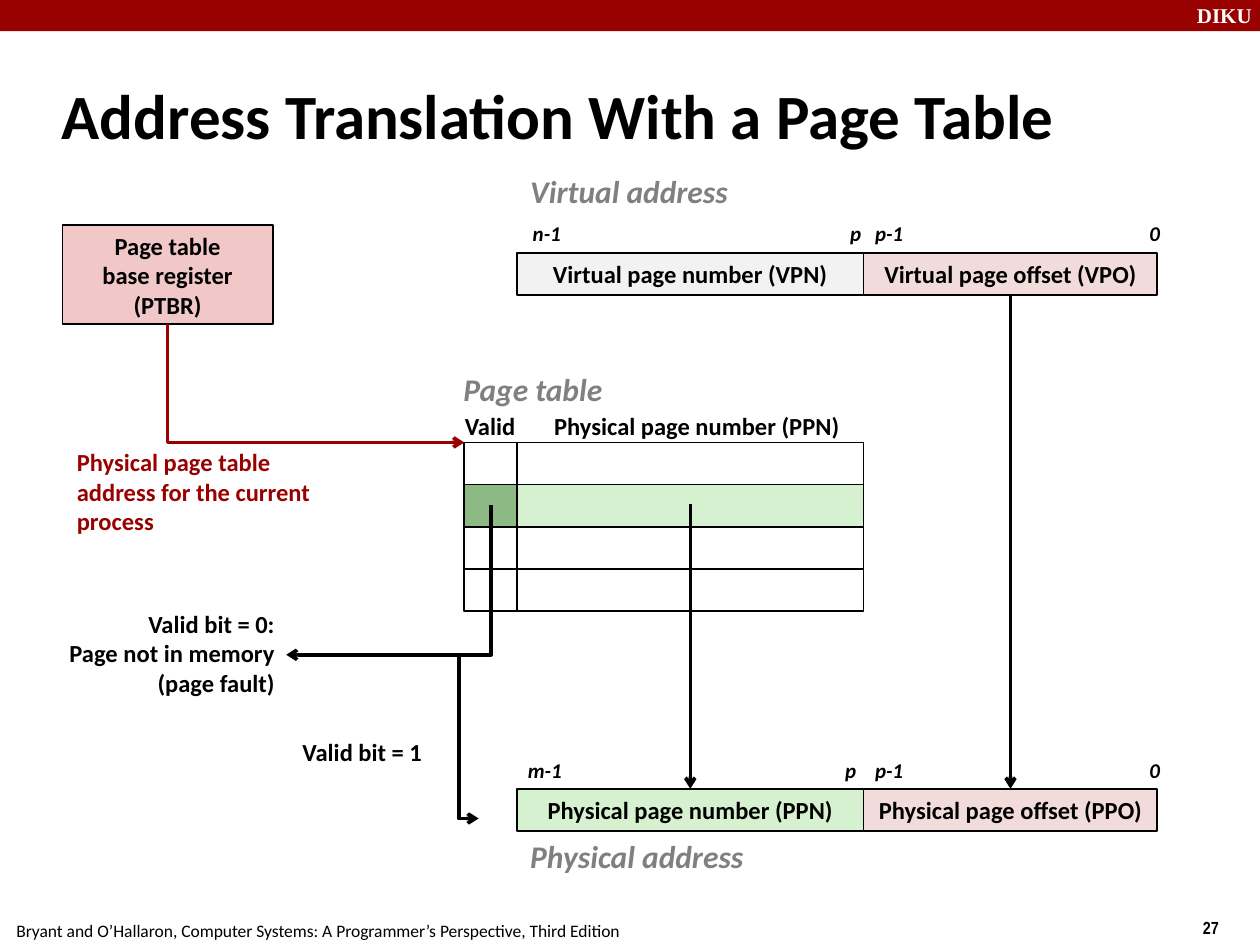
from dataclasses import dataclass
from pptx import Presentation
from pptx import util as u
from pptx.dml.color import RGBColor
from pptx.enum import shapes, text
from pptx.oxml.ns import qn
from lxml import etree

BLACK = RGBColor(0, 0, 0)
WHITE = RGBColor(0xFF, 0xFF, 0xFF)
RED = RGBColor(0x99, 0, 0)
GRAY = RGBColor(0x80, 0x80, 0x80)
PALE = RGBColor(0xF2, 0xF2, 0xF2)
ROSE = RGBColor(0xF2, 0xDC, 0xDB)
PINK = RGBColor(0xF1, 0xC7, 0xC7)
MINT = RGBColor(0xD5, 0xF1, 0xCF)
GREEN = RGBColor(0x8D, 0xBA, 0x84)

LEFT, RIGHT = text.PP_ALIGN.LEFT, text.PP_ALIGN.RIGHT
CENTER = text.PP_ALIGN.CENTER

# Grid in centimetres: valid bit, page number and offset columns
VALID_X, PAGE_X, OFF_X = 9.36, 10.42, 17.41
VALID_W, PAGE_W, OFF_W = 1.06, 6.99, 5.92
ROW = 0.85
VIRT_Y, TABLE_Y, PHYS_Y = 5.1, 8.92, 15.9


@dataclass
class Box:
    x: float
    y: float
    w: float
    h: float = ROW
    fill: RGBColor | None = None
    words: str = ""
    edge: bool = True


@dataclass
class Label:
    words: str
    x: float
    y: float
    w: float
    h: float = 0.84
    size: int = 14
    color: RGBColor = BLACK
    bold: bool = True
    slant: bool = False
    align: int = LEFT
    font: str = "Calibri"
    wrap: bool = False


def style(frame, size: int, color: RGBColor = BLACK, bold: bool = True,
          slant: bool = False, align: int = LEFT, font: str = "Calibri") -> None:
    for para in frame.paragraphs:
        para.alignment = align
        for run in para.runs:
            f = run.font
            f.name, f.size, f.bold, f.italic = font, u.Pt(size), bold, slant
            f.color.rgb = color


def add_box(slide, box: Box):
    shape = slide.shapes.add_shape(
        shapes.MSO_SHAPE.RECTANGLE, *map(u.Cm, (box.x, box.y, box.w, box.h)))
    shape.shadow.inherit = False
    if box.fill is None:
        shape.fill.background()
    else:
        shape.fill.solid()
        shape.fill.fore_color.rgb = box.fill
    if box.edge:
        shape.line.color.rgb = BLACK
        shape.line.width = u.Pt(1)
    else:
        shape.line.fill.background()
    if box.words:
        frame = shape.text_frame
        frame.text = box.words
        frame.vertical_anchor = text.MSO_ANCHOR.MIDDLE
        style(frame, 14, align=CENTER)
    return shape


def add_label(slide, lab: Label) -> None:
    frame = slide.shapes.add_textbox(
        *map(u.Cm, (lab.x, lab.y, lab.w, lab.h))).text_frame
    frame.word_wrap = lab.wrap
    frame.text = lab.words
    style(frame, lab.size, lab.color, lab.bold, lab.slant, lab.align, lab.font)


def add_arrow(slide, x1: float, y1: float, x2: float, y2: float,
              color: RGBColor = BLACK, kind=shapes.MSO_CONNECTOR.STRAIGHT):
    line = slide.shapes.add_connector(kind, *map(u.Cm, (x1, y1, x2, y2)))
    line.line.color.rgb = color
    line.line.width = u.Pt(2)
    props = line._element.spPr
    etree.SubElement(props.find(qn("a:ln")), qn("a:tailEnd"), type="arrow")
    etree.SubElement(props, qn("a:effectLst"))
    return line


def add_corner(slide, x1: float, y1: float, x2: float, y2: float,
               color: RGBColor = BLACK) -> None:
    """Draw an arrow that runs down first and then sideways."""
    mid_x, mid_y = (x1 + x2) / 2, (y1 + y2) / 2
    half_w, half_h = (y2 - y1) / 2, abs(x2 - x1) / 2
    right = x2 > x1
    if right:
        half_w = -half_w  # a negative width flips the line
    line = add_arrow(slide, mid_x - half_w, mid_y - half_h, mid_x + half_w,
                     mid_y + half_h, color, shapes.MSO_CONNECTOR.ELBOW)
    props = line._element.spPr
    props.find(qn("a:xfrm")).set("rot", str((270 if right else 90) * 60000))
    props.find(qn("a:prstGeom")).set("prst", "bentConnector2")


def add_branch(slide, x1: float, y1: float, x2: float, y2: float,
               bend: float) -> None:
    line = add_arrow(slide, x1, y1, x2, y2, kind=shapes.MSO_CONNECTOR.ELBOW)
    geom = line._element.spPr.find(qn("a:prstGeom"))
    guides = geom.find(qn("a:avLst"))
    if guides is None:
        guides = etree.SubElement(geom, qn("a:avLst"))
    etree.SubElement(guides, qn("a:gd"), name="adj1",
                     fmla=f"val {round(bend * 100000)}")


def main() -> None:
    deck = Presentation()
    deck.slide_width, deck.slide_height = u.Cm(25.4), u.Cm(19.05)
    slide = deck.slides.add_slide(deck.slide_layouts[5])

    # Header band and footer
    add_box(slide, Box(0, 0, 25.4, 0.63, RED, edge=False))
    for lab in (
        Label("DIKU", 23.88, -0.08, 1.7, 0.76, 12, WHITE,
              font="Times New Roman", wrap=True),
        Label("27", 24, 18.36, 1.4, 0.74, 10, font="Arial Narrow", wrap=True),
        Label("Bryant and O’Hallaron, Computer Systems: "
              "A Programmer’s Perspective, Third Edition",
              0.08, 18.42, 12.67, 0.66, 10, bold=False),
    ):
        add_label(slide, lab)

    # Title
    title = slide.shapes.title
    title.left, title.top, title.width, title.height = map(
        u.Cm, (0.99, 1.24, 21.08, 2.11))
    title.text_frame.text = "Address Translation With a Page Table"
    title.text_frame.vertical_anchor = text.MSO_ANCHOR.MIDDLE
    style(title.text_frame, 36)

    # Virtual and physical address fields
    add_box(slide, Box(PAGE_X, VIRT_Y, PAGE_W, fill=PALE,
                       words="Virtual page number (VPN)"))
    vpo = add_box(slide, Box(OFF_X, VIRT_Y, OFF_W, fill=ROSE,
                             words="Virtual page offset (VPO)"))
    ppn = add_box(slide, Box(PAGE_X, PHYS_Y, PAGE_W, fill=MINT,
                             words="Physical page number (PPN)"))
    ppo = add_box(slide, Box(OFF_X, PHYS_Y, OFF_W, fill=ROSE,
                             words="Physical page offset (PPO)"))

    # Page table rows, the second one selected
    for row in range(4):
        page, valid = (MINT, GREEN) if row == 1 else (None, None)
        y = TABLE_Y + row * ROW
        add_box(slide, Box(PAGE_X, y, PAGE_W, fill=page))
        add_box(slide, Box(VALID_X, y, VALID_W, fill=valid))

    # Base register
    add_box(slide, Box(1.26, 4.54, 4.24, 2, PINK,
                       "Page table\vbase register\n(PTBR)"))

    # Arrows
    offset = add_arrow(slide, 20.37, 5.95, 20.37, PHYS_Y)
    offset.begin_connect(vpo, 2)
    offset.end_connect(ppo, 0)
    number = add_arrow(slide, PAGE_X + PAGE_W / 2, 10.16,
                       PAGE_X + PAGE_W / 2, PHYS_Y)
    number.end_connect(ppn, 0)
    add_branch(slide, 9.9, 13.2, 9.65, 16.5, 2.6)
    add_corner(slide, 9.9, 10.19, 5.77, 13.2)
    add_corner(slide, 3.38, 6.54, VALID_X, TABLE_Y, RED)

    # Headings
    for words, x, y, w in (("Virtual address", 10.44, 3.35, 4.6),
                           ("Physical address", 10.44, 16.74, 4.9),
                           ("Page table", 9.09, 7.34, 3.6)):
        add_label(slide, Label(words, x, y, w, 1.02, 18, GRAY, slant=True))

    # Column names and remarks
    for lab in (
        Label("Valid", 9.12, 8.17, 1.54),
        Label("Physical page number (PPN)", 10.92, 8.17, 6.5),
        Label("Physical page table\naddress for the current\nprocess",
              1.3, 8.89, 5.5, 2.03, color=RED),
        Label("Valid bit = 0:\nPage not in memory\n(page fault)",
              1.04, 12.15, 4.75, 2.03, align=RIGHT),
        Label("Valid bit = 1", 5.76, 14.73, 3, align=RIGHT),
    ):
        add_label(slide, lab)

    # Bit positions
    for y, top, top_x, top_w, p_x in ((4.32, "n-1", 10.49, 1.07, 16.89),
                                      (15.14, "m-1", 10.39, 1.19, 16.79)):
        for words, x, w in (("0", 22.92, 0.71), ("p-1", 17.39, 1.07),
                            ("p", p_x, 0.74), (top, top_x, top_w)):
            add_label(slide, Label(words, x, y, w, 0.76, 12, slant=True))

    deck.save("out.pptx")


if __name__ == "__main__":
    main()
